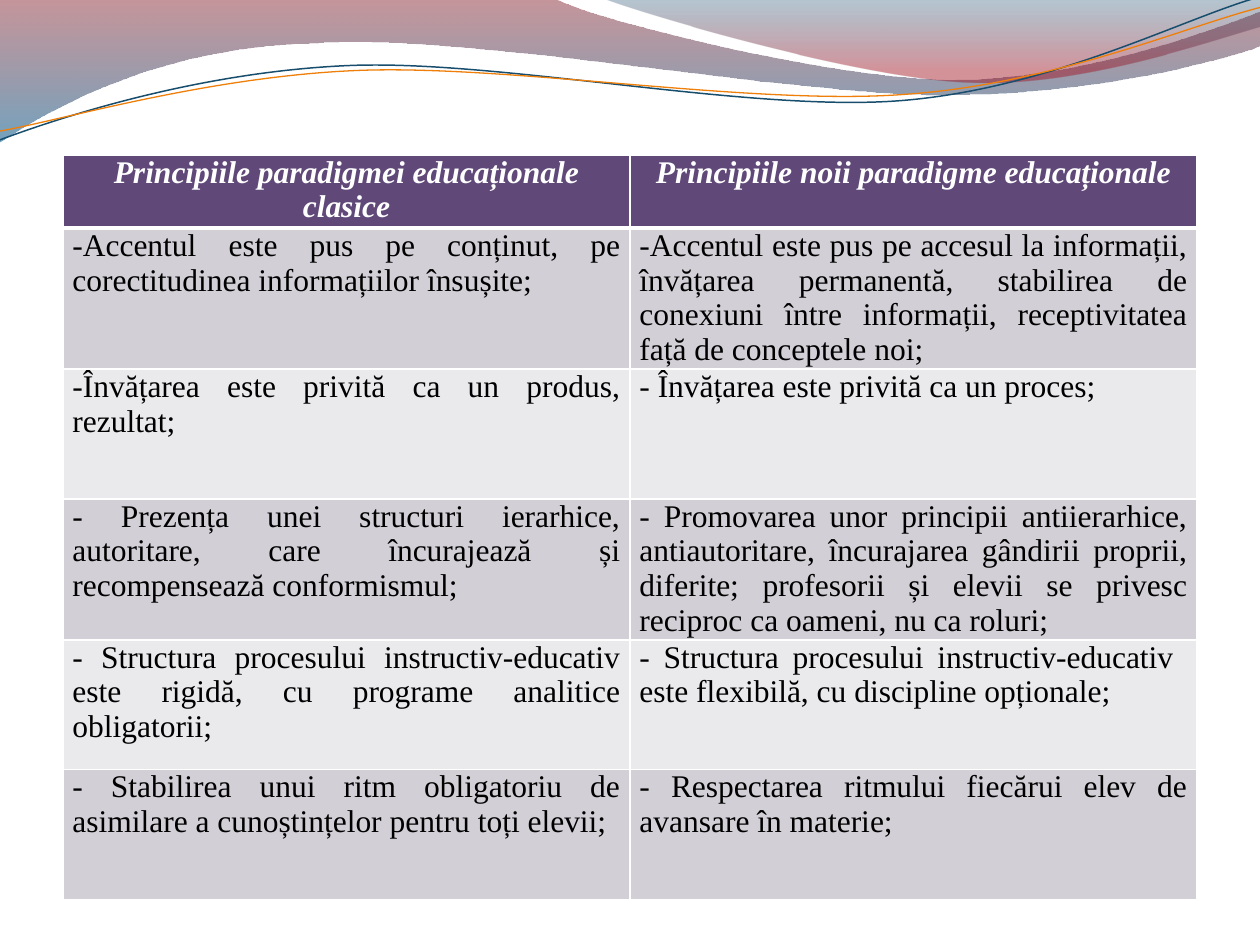
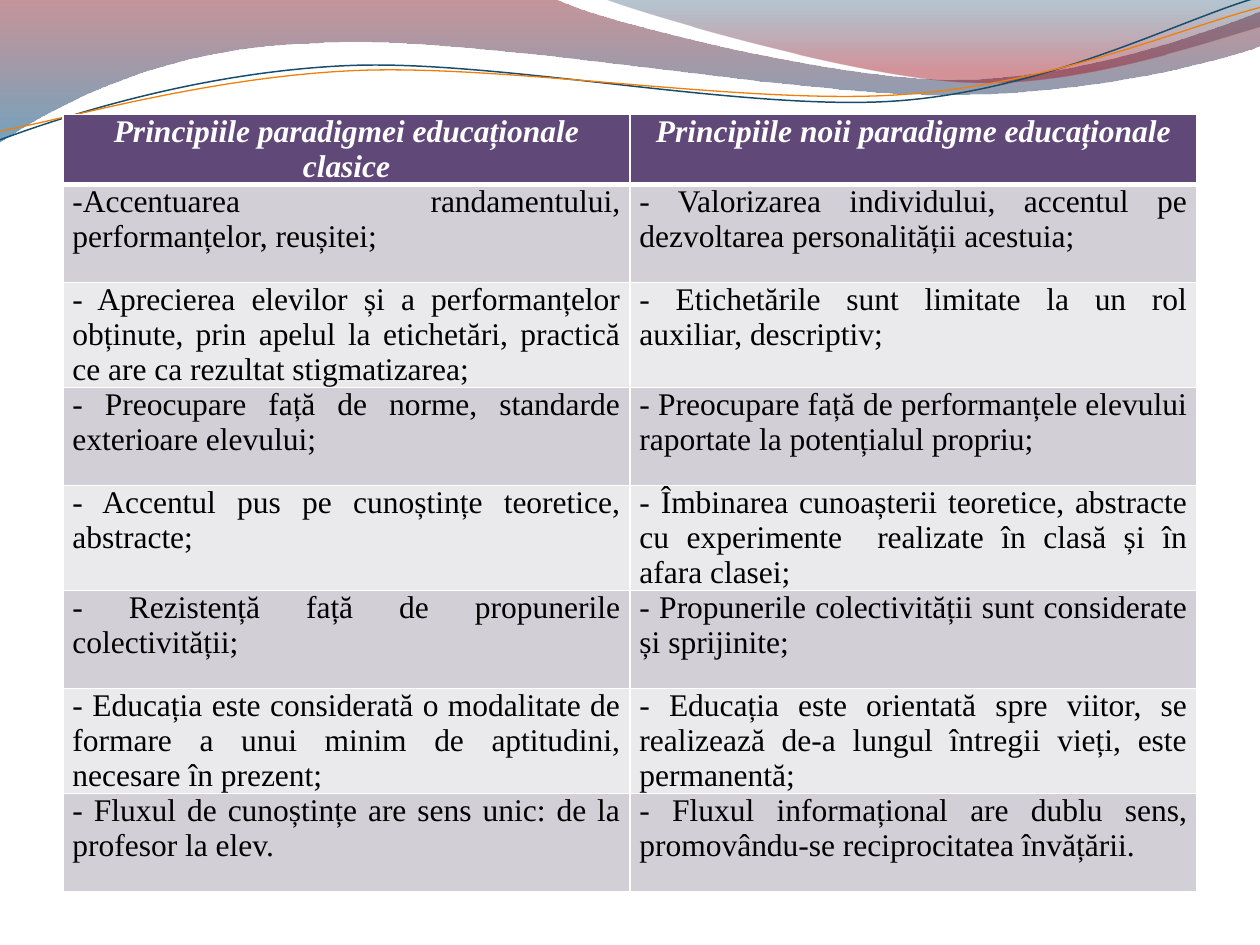
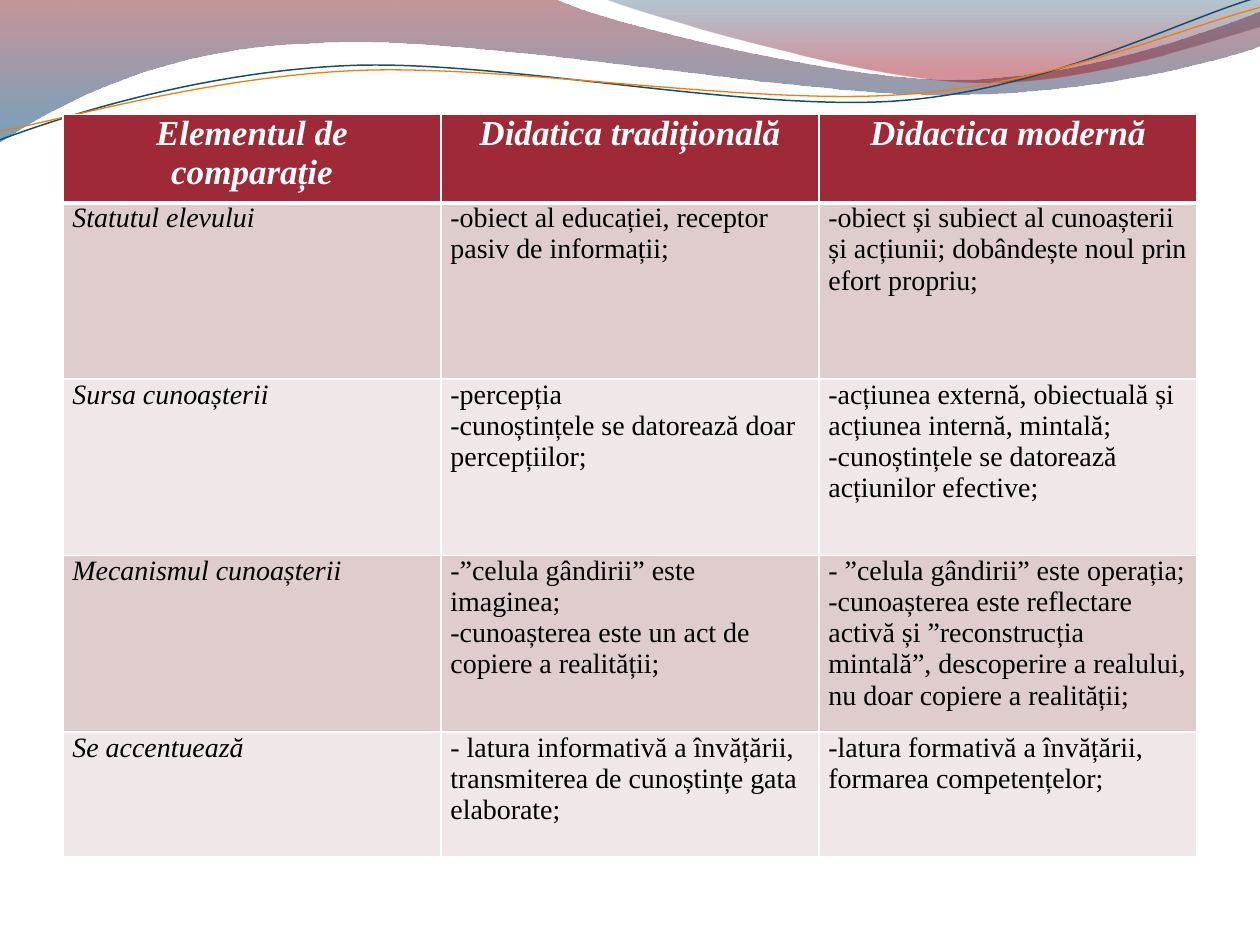
from math import cos, radians, sin
from lxml.etree import SubElement
from pptx import Presentation
from pptx.dml.color import RGBColor
from pptx.enum.text import PP_ALIGN
from pptx.oxml.ns import qn
from pptx.util import Inches, Pt

FONT = "Times New Roman"
WHITE, BLACK = "FFFFFF", "000000"
PURPLE = ("604878", "D2CFD6", "EAE9EC")
RED = ("9F2936", "DFCDCE", "F0E8E8")
TILT = -2.7

BANDS = [
    ((0, 0), [
        [(4.4, -0.01)],
        [(4.76, 0.17), (6.64, 0.63), (7.58, 0.63)],
        [(8.53, 0.63), (9.58, 0.26), (10, 0.09)],
        [(10.01, 0.36)],
        [(9.83, 0.44), (8.7, 0.76), (7.46, 0.75)],
        [(6.22, 0.75), (3.82, 0.28), (2.57, 0.34)],
        [(1.29, 0.36), (0.46, 0.83), (-0.01, 1.13)],
        [(0, 0)],
    ], [(0, "7E1621", 45), (1, "005689", 55)]),
    ((4.79, -0.01), [
        [(5.09, 0.11), (6.82, 0.62), (7.69, 0.65)],
        [(8.56, 0.69), (9.61, 0.32), (10, 0.21)],
        [(10, 0)],
        [(4.79, -0.01)],
    ], [(0, "094467", 30), (0.8, "A10F1F", 45)]),
]
LINES = [
    ((0, 1.11), [
        [(0.48, 0.93), (1.58, 0.57), (2.77, 0.52)],
        [(3.95, 0.47), (5.93, 0.89), (7.13, 0.8)],
        [(8.33, 0.71), (9.38, 0.15), (9.98, -0.02)],
    ], (4.99, 0.58), "184E6D", 0.85),
    ((0, 1.04), [
        [(0.47, 0.96), (1.64, 0.61), (2.83, 0.56)],
        [(4.03, 0.51), (5.97, 0.84), (7.17, 0.75)],
        [(8.36, 0.67), (9.41, 0.21), (10, 0.06)],
    ], (5, 0.59), "F07F09", 0.75),
]

HEADS = ("Principiile paradigmei educaționale clasice",
         "Principiile noii paradigme educaționale")
SLIDES = [
    dict(top=1.23, tones=PURPLE, sizes=(18, 18), align=PP_ALIGN.JUSTIFY, lead=False,
         highs=[0.58, 1.12, 1.03, 1.12, 1.03, 1.03], rows=[
        HEADS,
        ("-Accentul este pus pe conținut, pe corectitudinea informațiilor însușite;",
         "-Accentul este pus pe accesul la informații, învățarea permanentă, stabilirea de "
         "conexiuni între informații, receptivitatea față de conceptele noi;"),
        ("-Învățarea este privită ca un produs, rezultat;",
         "- Învățarea este privită ca un proces;"),
        ("- Prezența unei structuri ierarhice, autoritare, care încurajează și "
         "recompensează conformismul;",
         "- Promovarea unor principii antiierarhice, antiautoritare, încurajarea gândirii "
         "proprii, diferite; profesorii și elevii se privesc reciproc ca oameni, nu ca roluri;"),
        ("- Structura procesului instructiv-educativ este rigidă, cu programe analitice "
         "obligatorii;",
         "- Structura procesului instructiv-educativ  este flexibilă, cu discipline opționale;"),
        ("- Stabilirea unui ritm obligatoriu de asimilare a cunoștințelor pentru toți elevii;",
         "- Respectarea ritmului fiecărui elev de avansare în materie;"),
    ]),
    dict(top=0.91, tones=PURPLE, sizes=(18, 18), align=PP_ALIGN.JUSTIFY, lead=False,
         highs=[0.55] + [0.78] * 7, rows=[
        HEADS,
        ("-Accentuarea randamentului, performanțelor, reușitei;",
         "- Valorizarea individului, accentul pe dezvoltarea personalității acestuia;"),
        ("- Aprecierea elevilor și a performanțelor obținute, prin apelul la etichetări, "
         "practică ce are ca rezultat stigmatizarea;",
         "- Etichetările sunt limitate la un rol auxiliar, descriptiv;"),
        ("- Preocupare față de norme, standarde exterioare elevului;",
         "- Preocupare față de performanțele elevului raportate la potențialul propriu;"),
        ("- Accentul pus pe cunoștințe teoretice, abstracte;",
         "- Îmbinarea cunoașterii teoretice, abstracte cu experimente  realizate în clasă "
         "și în afara clasei;"),
        ("- Rezistență față de propunerile colectivității;",
         "- Propunerile colectivității sunt considerate și sprijinite;"),
        ("- Educația este considerată o modalitate de formare a unui minim de aptitudini, "
         "necesare în prezent;",
         "- Educația este orientată spre viitor, se realizează de-a lungul întregii vieți, "
         "este permanentă;"),
        ("- Fluxul de cunoștințe are sens unic: de la profesor la elev.",
         "- Fluxul informațional are dublu sens, promovându-se reciprocitatea învățării."),
    ]),
    dict(top=0.91, tones=RED, sizes=(20, 16), align=PP_ALIGN.LEFT, lead=True,
         highs=[0.7, 1.4, 1.4, 1.4, 0.99], rows=[
        ("Elementul de comparație", "Didatica tradițională", "Didactica modernă"),
        ("Statutul elevului",
         "-obiect al educației, receptor pasiv de informații;",
         "-obiect și subiect al cunoașterii și acțiunii; dobândește noul prin efort propriu;"),
        ("Sursa cunoașterii",
         "-percepția\n-cunoștințele se datorează doar percepțiilor;",
         "-acțiunea externă, obiectuală și acțiunea internă, mintală;\n"
         "-cunoștințele se datorează acțiunilor efective;"),
        ("Mecanismul cunoașterii",
         "-”celula gândirii” este imaginea;\n"
         "-cunoașterea este un act de copiere a realității;",
         "- ”celula gândirii” este operația;\n"
         "-cunoașterea este reflectare activă și ”reconstrucția mintală”, descoperire a "
         "realului, nu doar copiere a realității;"),
        ("Se accentuează",
         "- latura informativă a învățării,  transmiterea de cunoștințe gata elaborate;",
         "-latura formativă a învățării,  formarea competențelor;"),
    ]),
]


def color(code):
    return RGBColor.from_string(code)


def turn(point, mid, angle):
    x, y = point[0] - mid[0], point[1] - mid[1]
    c, s = cos(radians(angle)), sin(radians(angle))
    return mid[0] + x * c - y * s, mid[1] + x * s + y * c


def outline(slide, start, parts, close):
    spots = [(Inches(x), Inches(y)) for part in parts for x, y in part]
    pen = slide.shapes.build_freeform(Inches(start[0]), Inches(start[1]))
    pen.add_line_segments(spots, close=close)
    shape = pen.convert_to_shape()
    shape.shadow.inherit = False
    route = next(shape.element.iter(qn("a:path")))
    legs = iter(route.findall(qn("a:lnTo")))
    for part in parts:
        first = next(legs)
        if len(part) == 3:
            first.addprevious(curve := SubElement(route, qn("a:cubicBezTo")))
            for leg in (first, next(legs), next(legs)):
                curve.append(leg[0])
                route.remove(leg)
    return shape


def add_band(slide, start, parts, stops):
    shape = outline(slide, start, parts, True)
    shape.line.fill.background()
    fill = shape.fill
    fill.gradient()
    fill.gradient_angle = 270
    for stop, (place, code, _) in zip(fill.gradient_stops, stops):
        stop.position = place
        stop.color.rgb = color(code)
    for node, (_, _, alpha) in zip(shape.element.iter(qn("a:srgbClr")), stops):
        SubElement(node, qn("a:alpha"), val=str(alpha * 1000))
    return shape


def add_line(slide, start, parts, mid, code, width):
    flat = [[turn(point, mid, -TILT) for point in part] for part in parts]
    shape = outline(slide, turn(start, mid, -TILT), flat, False)
    shape.rotation = TILT
    shape.fill.background()
    shape.line.color.rgb = color(code)
    shape.line.width = Pt(width)
    return shape


def add_waves(slide, layout):
    for hole in list(layout.placeholders):
        layout.shapes.element.remove(hole.element)
    waves = [add_band(slide, *band) for band in BANDS]
    waves += [add_line(slide, *line) for line in LINES]
    for wave in waves:
        layout.shapes.element.append(wave.element)


def set_rules(frame):
    head = next(frame.element.iter(qn("a:tr")))
    for cell in head.iter(qn("a:tcPr")):
        for k, side in enumerate("LRTB"):
            rule = SubElement(cell, qn("a:ln" + side), w=str(Pt(3 if side == "B" else 1)))
            cell.insert(k, rule)
            fill = SubElement(rule, qn("a:solidFill"))
            SubElement(fill, qn("a:srgbClr"), val=WHITE)


def write(cell, text, size, code, bold, slant, align):
    cell.margin_left = cell.margin_right = Pt(5.4)
    cell.margin_top = cell.margin_bottom = 0
    frame = cell.text_frame
    for n, line in enumerate(text.split("\n")):
        para = frame.add_paragraph() if n else frame.paragraphs[0]
        para.alignment = align
        run = para.add_run()
        run.text = line
        font = run.font
        font.name, font.size = FONT, Pt(size)
        font.bold, font.italic = bold, slant
        font.color.rgb = color(code)


def add_grid(slide, top, tones, sizes, align, lead, highs, rows):
    count = len(rows[0])
    frame = slide.shapes.add_table(len(rows), count, Inches(0.5), Inches(top),
                                   Inches(9), Inches(sum(highs)))
    table = frame.table
    for r, (high, row) in enumerate(zip(highs, rows)):
        table.rows[r].height = Inches(high)
        head = r == 0
        tone = tones[0] if head else tones[2 - r % 2]
        for c, text in enumerate(row):
            cell = table.cell(r, c)
            cell.fill.solid()
            cell.fill.fore_color.rgb = color(tone)
            write(cell, text, sizes[0 if head else 1], WHITE if head else BLACK, head,
                  head or (lead and c == 0), PP_ALIGN.CENTER if head else align)
    set_rules(frame)


deck = Presentation()
deck.slide_width, deck.slide_height = Inches(10), Inches(7.5)
blank = deck.slide_layouts[6]
for n, data in enumerate(SLIDES):
    slide = deck.slides.add_slide(blank)
    if n == 0:
        add_waves(slide, blank)
    for hole in list(slide.placeholders):
        slide.shapes.element.remove(hole.element)
    add_grid(slide, **data)
deck.save("out.pptx")
